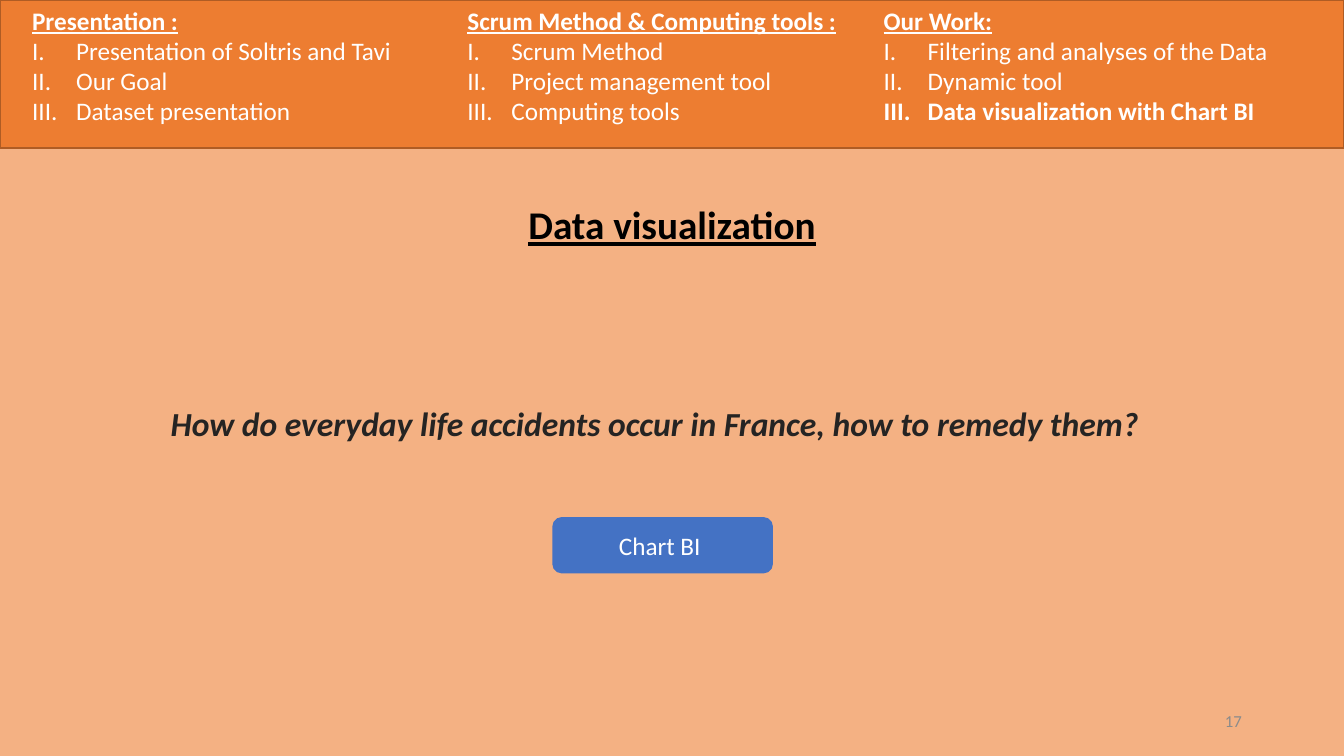
"""Build the data visualization section slide with its agenda banner."""
from lxml.etree import SubElement
from pptx import Presentation
from pptx.dml.color import RGBColor
from pptx.enum.shapes import MSO_SHAPE
from pptx.enum.text import MSO_ANCHOR, PP_ALIGN
from pptx.oxml.ns import qn
from pptx.util import Cm, Pt

WIDTH, HEIGHT = 33.87, 19.05
CURRENT_TOPIC = "Data visualization with Chart BI"
AGENDA = [
    (0.56, 10.62, "Presentation :",
     ["Presentation of Soltris and Tavi", "Our Goal", "Dataset presentation"]),
    (11.53, 9.93, "Scrum Method & Computing tools :",
     ["Scrum Method", "Project management tool", "Computing tools"]),
    (22.02, 11.8, "Our Work:",
     ["Filtering and analyses of the Data", "Dynamic tool", CURRENT_TOPIC]),
]


def color(value):
    return RGBColor.from_string(value)


def add_span(para, text, size=18, ink="FFFFFF", bold=False, italic=False, underline=False):
    span = para.add_run()
    span.text = text
    font = span.font
    font.name, font.size = "Calibri", Pt(size)
    font.bold, font.italic, font.underline = bold, italic, underline
    font.color.rgb = color(ink)


class SlideBuilder:
    def __init__(self, page):
        self.page = page

    def panel(self, left, top, width, height, fill, line=None, kind=MSO_SHAPE.RECTANGLE):
        shape = self.page.shapes.add_shape(kind, Cm(left), Cm(top), Cm(width), Cm(height))
        shape.shadow.inherit = False
        shape.fill.solid()
        shape.fill.fore_color.rgb = color(fill)
        if line:
            shape.line.color.rgb = color(line)
            shape.line.width = Pt(1)
        else:
            shape.line.fill.background()
        return shape

    def text_box(self, left, top, width, height):
        box = self.page.shapes.add_textbox(Cm(left), Cm(top), Cm(width), Cm(height))
        box.text_frame.word_wrap = True
        return box

    def label(self, shape, text, align=PP_ALIGN.CENTER, anchor=MSO_ANCHOR.TOP, **style):
        frame = shape.text_frame
        frame.vertical_anchor = anchor
        para = frame.paragraphs[0]
        para.alignment = align
        add_span(para, text, **style)

    def agenda_column(self, left, width, heading, topics):
        frame = self.text_box(left, 0, width, 4.09).text_frame
        add_span(frame.paragraphs[0], heading, bold=True, underline=True)
        for topic in topics:
            para = frame.add_paragraph()
            properties = para._p.get_or_add_pPr()
            properties.set("marL", str(Cm(1.11)))
            properties.set("indent", str(-Cm(1.11)))
            SubElement(properties, qn("a:buFont"), typeface="+mj-lt")
            SubElement(properties, qn("a:buAutoNum"), type="romanUcPeriod")
            add_span(para, topic, bold=topic == CURRENT_TOPIC)


def main():
    deck = Presentation()
    deck.slide_width, deck.slide_height = Cm(WIDTH), Cm(HEIGHT)
    builder = SlideBuilder(deck.slides.add_slide(deck.slide_layouts[6]))

    builder.panel(0, 0, WIDTH, HEIGHT, "F4B183")
    builder.panel(0, 0, WIDTH, 3.73, "ED7D31", line="AF5C24")
    for column in AGENDA:
        builder.agenda_column(*column)

    builder.label(builder.text_box(12.34, 4.93, 9.19, 1.45), "Data visualization",
                  size=28, ink="000000", bold=True, underline=True)
    builder.label(builder.text_box(2.57, 10.03, 27.86, 1.27),
                  "How do everyday life accidents occur in France, how to remedy them?",
                  size=24, ink="252423", bold=True, italic=True)
    button = builder.panel(13.92, 13.03, 5.56, 1.42, "4472C4", kind=MSO_SHAPE.ROUNDED_RECTANGLE)
    builder.label(button, "Chart BI ", anchor=MSO_ANCHOR.MIDDLE)
    builder.label(builder.text_box(23.93, 17.65, 7.62, 1.02), "17", align=PP_ALIGN.RIGHT,
                  anchor=MSO_ANCHOR.MIDDLE, size=12, ink="8B8B8B")

    deck.save("out.pptx")


if __name__ == "__main__":
    main()
